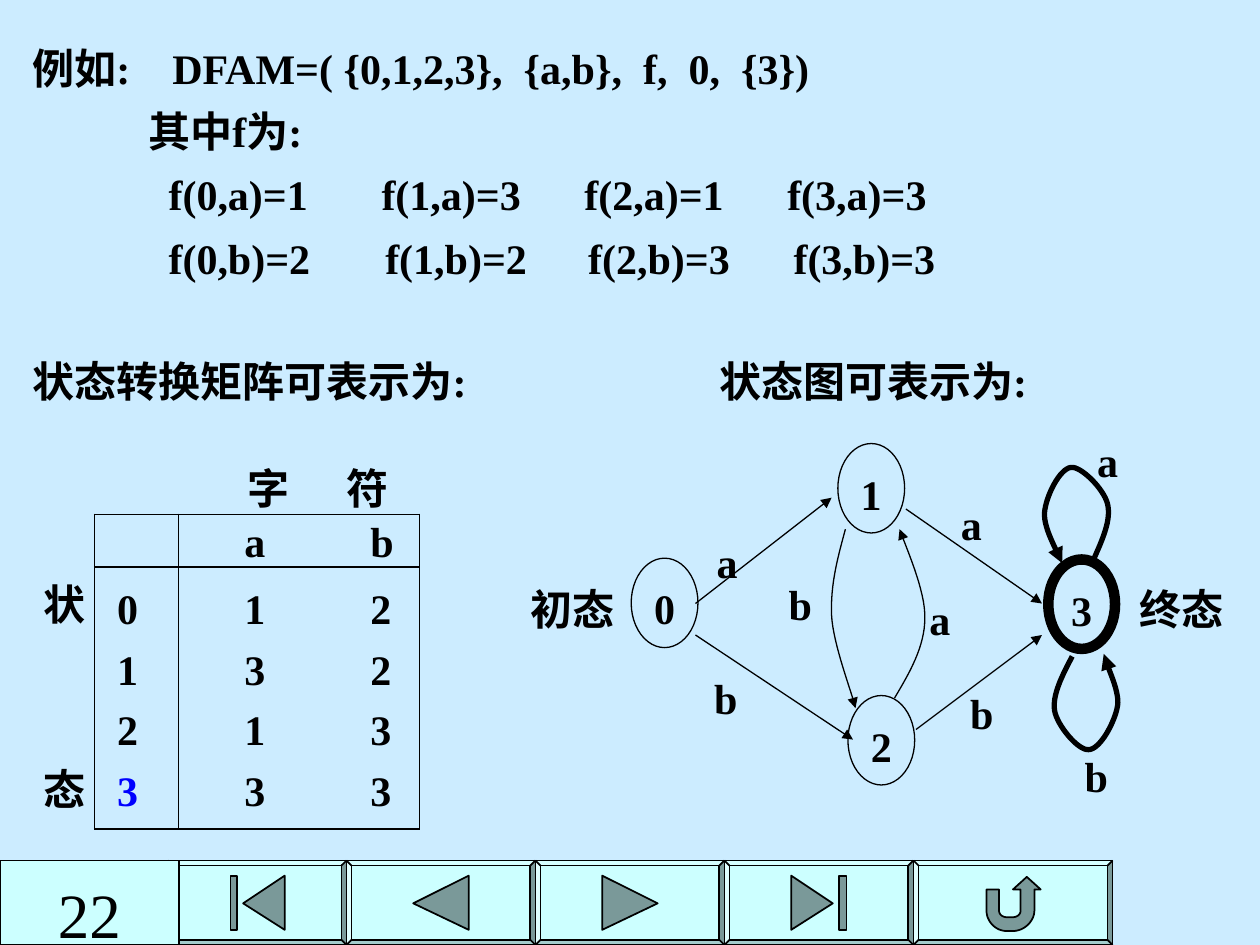
"""Build the DFA example slide with its transition matrix and state graph."""
from pptx import Presentation
from pptx.dml.color import RGBColor
from pptx.enum.shapes import MSO_CONNECTOR, MSO_SHAPE
from pptx.enum.text import MSO_ANCHOR, PP_ALIGN
from pptx.oxml import parse_xml
from pptx.oxml.ns import nsdecls
from pptx.util import Inches, Pt

LEFT, CENTER = PP_ALIGN.LEFT, PP_ALIGN.CENTER
TOP, MIDDLE, BOTTOM = MSO_ANCHOR.TOP, MSO_ANCHOR.MIDDLE, MSO_ANCHOR.BOTTOM
OVAL, RECT, BEVEL = MSO_SHAPE.OVAL, MSO_SHAPE.RECTANGLE, MSO_SHAPE.BEVEL
STRAIGHT = MSO_CONNECTOR.STRAIGHT

THEME = {
    "font": "Times New Roman", "size": 24, "page": 36,
    "ink": RGBColor(0, 0, 0), "mark": RGBColor(0, 0, 255),
    "back": RGBColor(0xCC, 0xEC, 0xFF), "key": RGBColor(0xCC, 0xFF, 0xFF),
    "icon": RGBColor(0x7A, 0x99, 0x99),
}
HEAD = f'<a:tailEnd {nsdecls("a")} type="triangle"/>'
FLAT = f'<a:effectLst {nsdecls("a")}/>'


def write(frame, text, size=THEME["size"], color=THEME["ink"], bold=True,
          align=LEFT, before=0, tabs=()):
    para = frame.paragraphs[0]
    if para.runs:
        para = frame.add_paragraph()
    para.alignment = align
    para.space_before = Pt(before)
    if tabs:
        stops = "".join(f'<a:tab pos="{Inches(t)}" algn="l"/>' for t in tabs)
        para._p.get_or_add_pPr().append(
            parse_xml(f'<a:tabLst {nsdecls("a")}>{stops}</a:tabLst>'))
    run = para.add_run()
    run.text = text
    run.font.name, run.font.size = THEME["font"], Pt(size)
    run.font.bold, run.font.color.rgb = bold, color


def trace(start, parts, width, fill=None, close=False):
    dots = [start]
    for part in parts:
        if len(part) == 2:
            dots.append(part)
            continue
        p0, p1, p2, p3 = dots[-1], part[:2], part[2:4], part[4:]
        for step in range(1, 17):
            t = step / 16
            s = 1 - t
            dots.append(tuple(s**3 * a + 3 * s * s * t * b + 3 * s * t * t * c + t**3 * d
                              for a, b, c, d in zip(p0, p1, p2, p3)))
    dots = [(Inches(x), Inches(y)) for x, y in dots]
    build = slide.shapes.build_freeform(*dots[0])
    build.add_line_segments(dots[1:], close=close)
    shape = build.convert_to_shape()
    shape.shadow.inherit = False
    shape.line.color.rgb, shape.line.width = THEME["ink"], Pt(width)
    if fill is None:
        shape.fill.background()
        shape.line._get_or_add_ln().append(parse_xml(HEAD))
    else:
        shape.fill.solid()
        shape.fill.fore_color.rgb = fill


deck = Presentation()
deck.slide_width, deck.slide_height = Inches(10), Inches(7.5)
slide = deck.slides.add_slide(deck.slide_layouts[6])
slide.background.fill.solid()
slide.background.fill.fore_color.rgb = THEME["back"]

edges = [1.33, 2.75, 4.25, 5.75, 7.25, 8.83]
keys = [(BEVEL, a, b - a) for a, b in zip(edges, edges[1:])] + [(RECT, 0, 1.42)]
for kind, left, wide in keys:
    key = slide.shapes.add_shape(kind, Inches(left), Inches(6.83), Inches(wide), Inches(0.67))
    key.shadow.inherit = False
    key.fill.solid()
    key.fill.fore_color.rgb = THEME["key"]
    key.line.color.rgb, key.line.width = THEME["ink"], Pt(1)
    if kind == BEVEL:
        key.adjustments[0] = 0.06
page = key.text_frame
page.vertical_anchor, page.margin_top, page.margin_bottom = TOP, Inches(0.12), 0
write(page, "22", size=THEME["page"], bold=False, align=CENTER)

high, mid, low = 6.95, 7.17, 7.38
icons = [
    [(1.93, mid), (2.26, high), (2.26, low)],
    [(1.83, high), (1.88, high), (1.88, low), (1.83, low)],
    [(3.28, mid), (3.72, high), (3.72, low)],
    [(4.78, high), (5.22, mid), (4.78, low)],
    [(6.28, high), (6.61, mid), (6.28, low)],
    [(6.66, high), (6.72, high), (6.72, low), (6.66, low)],
    [(7.83, 7.06), (7.93, 7.06), (7.93, 7.23), (7.93, 7.26, 7.96, 7.28, 7.99, 7.28),
     (8.04, 7.28), (8.07, 7.28, 8.1, 7.26, 8.1, 7.23), (8.1, 7.06), (8.04, 7.06),
     (8.15, 6.96), (8.26, 7.06), (8.21, 7.06), (8.21, 7.23),
     (8.21, 7.31, 8.13, 7.39, 8.04, 7.39), (7.99, 7.39),
     (7.9, 7.39, 7.83, 7.31, 7.83, 7.23)],
]
for icon in icons:
    trace(icon[0], icon[1:], 1, fill=THEME["icon"], close=True)

notes = [
    (0.16, 0.29, 8.17, 2.92, LEFT, [
        ("例如:\tDFAM=( {0,1,2,3},  {a,b},  f,  0,  {3})", 0, [1.11]),
        ("\t其中f为:", 7.25, [0.92]),
        ("\tf(0,a)=1\tf(1,a)=3\tf(2,a)=1\tf(3,a)=3", 7.25, [1.08, 2.77, 4.38, 5.99]),
        ("\tf(0,b)=2\tf(1,b)=2\tf(2,b)=3\tf(3,b)=3", 7.25, [1.08, 2.8, 4.41, 6.04]),
        ("状态转换矩阵可表示为:\t状态图可表示为:", 42, [5.45])]),
    (0.25, 4.54, 0.42, 1.95, CENTER, [("状", 0, []), ("态", 77, [])]),
    (1.87, 3.62, 1.6, 0.5, LEFT, [("字\t符", 0, [0.78])]),
]
labels = [("初态", 4.11, 4.58), ("终态", 8.94, 4.58), ("a", 5.58, 4.21), ("b", 5.57, 5.29),
          ("b", 6.16, 4.54), ("a", 7.27, 4.66), ("a", 7.52, 3.91), ("a", 8.6, 3.41),
          ("b", 8.51, 5.91), ("b", 7.6, 5.41)]
notes += [(x, y, 0.87 if len(text) > 1 else 0.38, 0.5, CENTER, [(text, 0, [])])
          for text, x, y in labels]
for left, top, wide, tall, align, lines in notes:
    frame = slide.shapes.add_textbox(
        Inches(left), Inches(top), Inches(wide), Inches(tall)).text_frame
    frame.word_wrap = len(lines) == 2
    for text, before, tabs in lines:
        write(frame, text, align=align, before=before, tabs=tabs)

rows = [" ab", "012", "132", "213", "333"]
wides, talls = [0.67, 1, 0.91], [0.42, 0.53, 0.48, 0.48, 0.59]
grid = slide.shapes.add_table(5, 3, Inches(0.75), Inches(4.08), Inches(sum(wides)),
                              Inches(sum(talls))).table
grid.first_row = grid.horz_banding = False
for col, wide in zip(grid.columns, wides):
    col.width = Inches(wide)
for r, (row, tall) in enumerate(zip(rows, talls)):
    grid.rows[r].height = Inches(tall)
    for c, text in enumerate(row.replace(" ", "\0")):
        cell = grid.cell(r, c)
        cell.vertical_anchor = BOTTOM
        cell.margin_left, cell.margin_right = Inches(0.52 if c else 0.18), 0
        cell.margin_top, cell.margin_bottom = 0, Inches(0.11 if r == 4 else 0)
        write(cell.text_frame, text.strip("\0"),
              color=THEME["mark"] if (r, c) == (4, 0) else THEME["ink"])
        cell.fill.background()
        sides = {"L": c < 2, "R": c != 1, "T": r < 2, "B": r in (0, 4)}
        for spot, (side, shown) in enumerate(sides.items()):
            paint = (f'<a:solidFill><a:srgbClr val="{THEME["ink"]}"/></a:solidFill>'
                     if shown else "<a:noFill/>")
            cell._tc.get_or_add_tcPr().insert(spot, parse_xml(
                f'<a:ln{side} {nsdecls("a")} w="{Pt(0.75)}">{paint}</a:ln{side}>'))

for name, left, top, width in [("0", 5.01, 4.43, 0.75), ("1", 6.65, 3.52, 0.75),
                               ("2", 6.73, 5.52, 0.75), ("3", 8.32, 4.44, 6)]:
    state = slide.shapes.add_shape(OVAL, Inches(left), Inches(top), Inches(0.53), Inches(0.71))
    state.shadow.inherit = False
    state.fill.background()
    state.line.color.rgb, state.line.width = THEME["ink"], Pt(width)
    frame = state.text_frame
    frame.word_wrap, frame.vertical_anchor = False, MIDDLE
    frame.margin_top, frame.margin_bottom = Inches(0.09), Inches(0.01)
    write(frame, name, align=CENTER)

for ends in [(5.52, 4.79, 6.6, 3.95), (7.19, 4.04, 8.27, 4.79),
             (5.52, 5.04, 6.77, 5.87), (7.27, 5.79, 8.27, 5.04)]:
    edge = slide.shapes.add_connector(STRAIGHT, *map(Inches, ends))
    edge.line.color.rgb, edge.line.width = THEME["ink"], Pt(0.75)
    edge.line._get_or_add_ln().append(parse_xml(HEAD))
    edge._element.spPr.append(parse_xml(FLAT))

trace((8.68, 4.44), [(8.75, 4.28, 8.82, 4.13, 8.79, 4), (8.76, 3.88, 8.58, 3.7, 8.5, 3.71),
                     (8.41, 3.72, 8.3, 3.94, 8.29, 4.07), (8.28, 4.2, 8.41, 4.41, 8.43, 4.47)], 3)
trace((8.51, 5.21), [(8.43, 5.36, 8.35, 5.52, 8.37, 5.64), (8.39, 5.76, 8.56, 5.96, 8.64, 5.95),
                     (8.73, 5.95, 8.85, 5.73, 8.87, 5.6), (8.89, 5.48, 8.77, 5.26, 8.76, 5.19)], 3)
trace((6.71, 4.2), [(6.65, 4.42, 6.59, 4.64, 6.6, 4.88), (6.61, 5.11, 6.76, 5.49, 6.79, 5.62)], 0.75)
trace((7.1, 5.54), [(7.22, 5.34, 7.34, 5.13, 7.34, 4.91), (7.35, 4.69, 7.18, 4.32, 7.14, 4.2)], 0.75)

deck.save("out.pptx")
